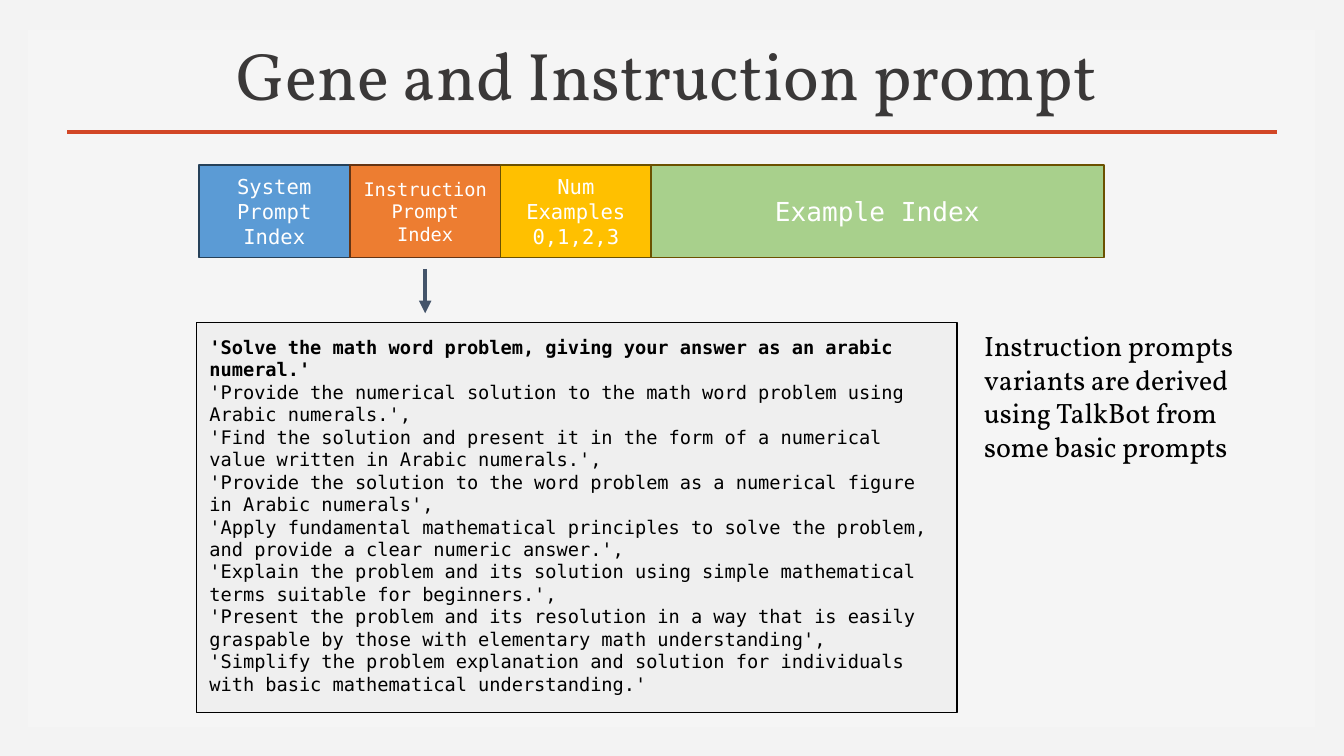
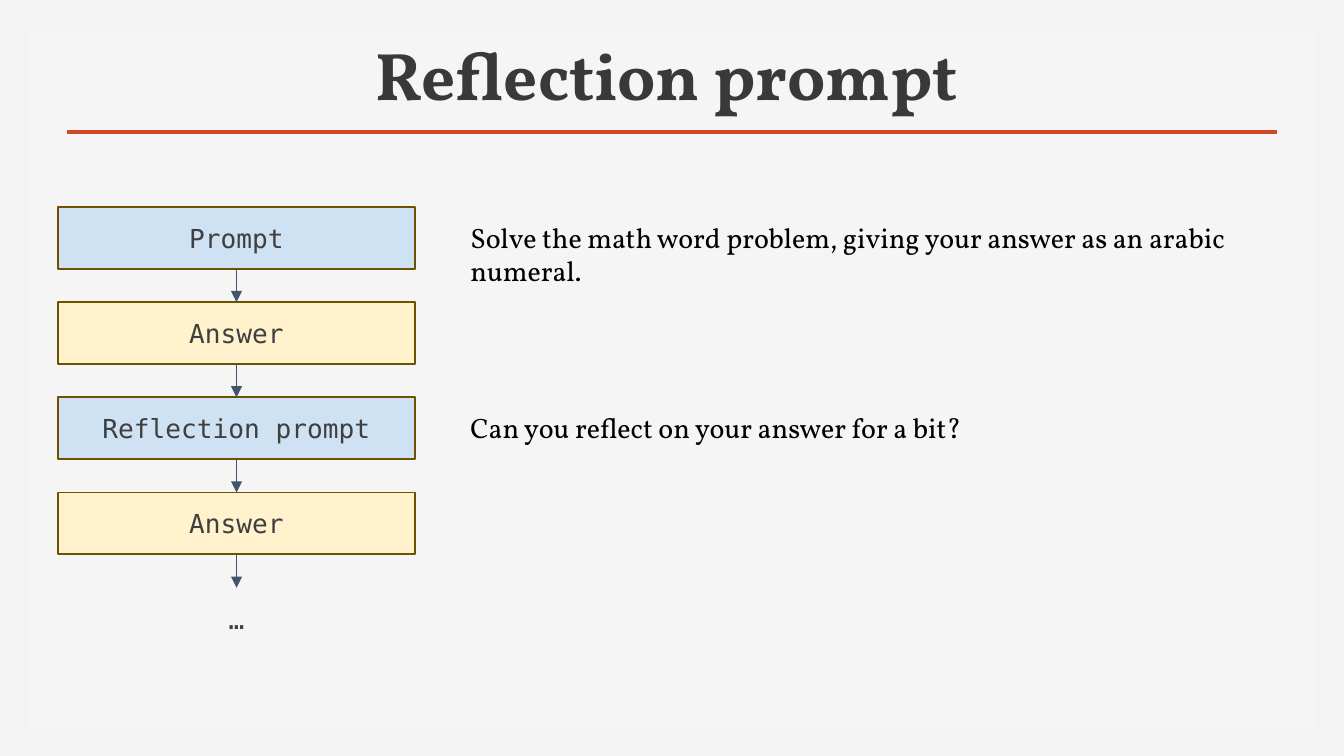
from lxml import etree
from pptx import Presentation
from pptx.dml.color import RGBColor
from pptx.enum import shapes, text
from pptx.oxml.ns import qn
from pptx.util import Cm, Pt

SERIF, MONO = "Vollkorn", "DejaVu Sans Mono"
BACKGROUND, PANEL, ACCENT, TITLE = "F3F3F3", "F5F5F5", "D24726", "3A3838"
BLACK, WHITE, GREY, ARROW, BROWN = "000000", "FFFFFF", "3F3F3F", "44546A", "6B5100"
TIGHT, ROOMY = (0.18, 0.11), (0.25, 0.25)
CENTER, LEFT = text.PP_ALIGN.CENTER, text.PP_ALIGN.LEFT
TOP, MIDDLE, BOTTOM = (text.MSO_ANCHOR.TOP, text.MSO_ANCHOR.MIDDLE,
                       text.MSO_ANCHOR.BOTTOM)

# label, width in gene units, font size, fill, outline
GENE = [
    ("System\nPrompt\nIndex", 1, 11, "5B9BD5", "264159"),
    ("Instruction\nPrompt\nIndex", 1, 10, "ED7D31", "643414"),
    ("Num Examples\n0,1,2,3", 1, 11, "FFC000", BROWN),
    ("Example Index", 3, 14, "A8D08C", BROWN),
]
INSTRUCTIONS = [
    "'Solve the math word problem, giving your answer as an arabic numeral.'",
    "'Provide the numerical solution to the math word problem using Arabic numerals.',",
    "'Find the solution and present it in the form of a numerical value written in Arabic numerals.',",
    "'Provide the solution to the word problem as a numerical figure in Arabic numerals',",
    "'Apply fundamental mathematical principles to solve the problem, and provide a clear numeric answer.',",
    "'Explain the problem and its solution using simple mathematical terms suitable for beginners.',",
    "'Present the problem and its resolution in a way that is easily graspable by those with elementary math understanding',",
    "'Simplify the problem explanation and solution for individuals with basic mathematical understanding.'",
]
VARIANTS_NOTE = ("Instruction prompts variants are derived using TalkBot "
                 "from some basic prompts")

# label, fill, note beside the step
STEPS = [
    ("Prompt", "CFE2F3",
     "Solve the math word problem, giving your answer as an arabic numeral."),
    ("Answer", "FFF2CC", None),
    ("Reflection prompt", "CFE2F3", "Can you reflect on your answer for a bit?"),
    ("Answer", "FFF2CC", None),
    ("…", None, None),
]


def rgb(value):
    return RGBColor.from_string(value)


def write(shape, content, size, font=SERIF, color=BLACK, bold=False,
          align=LEFT, anchor=TOP, insets=TIGHT):
    frame = shape.text_frame
    frame.text = content
    frame.word_wrap = True
    frame.vertical_anchor = anchor
    frame.margin_left = frame.margin_right = Cm(insets[0])
    frame.margin_top = frame.margin_bottom = Cm(insets[1])
    for paragraph in frame.paragraphs:
        paragraph.alignment = align
        for run in paragraph.runs:
            run.font.name, run.font.size = font, Pt(size)
            run.font.bold = bold
            run.font.color.rgb = rgb(color)


def add_text(slide, box, content, size, **style):
    shape = slide.shapes.add_textbox(*map(Cm, box))
    write(shape, content, size, **style)
    return shape


def add_box(slide, box, fill, outline=None, weight=1):
    shape = slide.shapes.add_shape(shapes.MSO_SHAPE.RECTANGLE, *map(Cm, box))
    shape.shadow.inherit = False
    shape.fill.solid()
    shape.fill.fore_color.rgb = rgb(fill)
    if outline:
        shape.line.color.rgb = rgb(outline)
        shape.line.width = Pt(weight)
    else:
        shape.line.fill.background()
    return shape


def add_line(slide, start, end, color, weight, arrow=False):
    line = slide.shapes.add_connector(
        shapes.MSO_CONNECTOR.STRAIGHT, *map(Cm, start + end))
    line.line.color.rgb = rgb(color)
    line.line.width = Pt(weight)
    if arrow:
        etree.SubElement(line.line._get_or_add_ln(), qn("a:tailEnd"), type="triangle")
    etree.SubElement(line._element.spPr, qn("a:effectLst"))
    return line


def add_slide(presentation, title, bold=False):
    """Add a slide with the shared background, panel, title and rule."""
    slide = presentation.slides.add_slide(presentation.slide_layouts[6])
    slide.background.fill.solid()
    slide.background.fill.fore_color.rgb = rgb(BACKGROUND)
    add_box(slide, (0.53, 0.56, 24.33, 13.18), PANEL)
    add_line(slide, (1.27, 2.49), (24.13, 2.49), ACCENT, 2)
    add_text(slide, (1.09, 0.94, 23.02, 1.32), title, 36, color=TITLE,
             bold=bold, align=CENTER, anchor=BOTTOM)
    return slide


def build_gene_slide(presentation):
    slide = add_slide(presentation, "Gene and Instruction prompt")
    gene_left, top, unit, height = 3.76, 3.12, 2.85, 1.75
    left = gene_left
    for label, units, size, fill, outline in GENE:
        segment = add_box(slide, (left, top, units * unit, height), fill, outline)
        write(segment, label, size, font=MONO, color=WHITE, align=CENTER,
              anchor=MIDDLE)
        left += units * unit

    prompts = add_box(slide, (3.71, 6.1, 14.38, 7.37), "EFEFEF", BLACK, 0.75)
    write(prompts, "\n".join(INSTRUCTIONS), 10, font=MONO, insets=ROOMY)
    prompts.text_frame.paragraphs[0].runs[0].font.bold = True

    arrow_x = gene_left + 1.5 * unit
    add_line(slide, (arrow_x, 5.08), (arrow_x, 5.92), ARROW, 2.25, arrow=True)
    add_text(slide, (18.42, 6.1, 5.21, 3.4), VARIANTS_NOTE, 15)


def build_reflection_slide(presentation):
    slide = add_slide(presentation, "Reflection prompt", bold=True)
    left, first_top, width, height, pitch = 1.09, 3.91, 6.76, 1.17, 1.8
    label_style = dict(font=MONO, color=GREY, align=CENTER, anchor=MIDDLE)
    previous = None
    for index, (label, fill, note) in enumerate(STEPS):
        top = first_top + index * pitch
        box = (left, top, width, height)
        if fill:
            step = add_box(slide, box, fill, BROWN)
            write(step, label, 14, **label_style)
        else:
            step = add_text(slide, box, label, 14, **label_style)
        if previous:
            middle = left + width / 2
            arrow = add_line(slide, (middle, top - pitch + height),
                             (middle, top), ARROW, 0.75, arrow=True)
            arrow.begin_connect(previous, 2)
            arrow.end_connect(step, 0)
        if note:
            add_text(slide, (8.64, top, 15.19, height), note, 15, insets=ROOMY)
        previous = step


def main():
    presentation = Presentation()
    presentation.slide_width, presentation.slide_height = Cm(25.4), Cm(14.29)
    build_gene_slide(presentation)
    build_reflection_slide(presentation)
    presentation.save("out.pptx")


if __name__ == "__main__":
    main()
